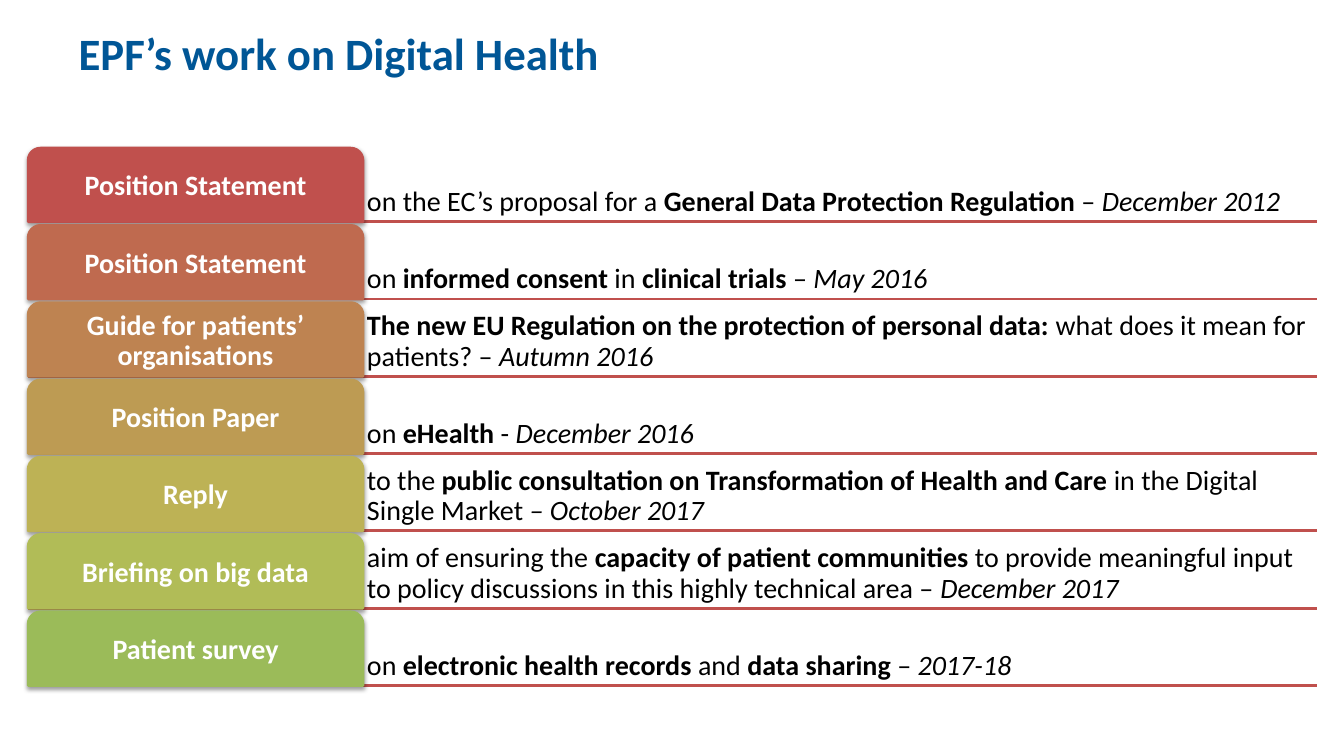
from dataclasses import dataclass

from lxml.etree import SubElement
from pptx import Presentation
from pptx.dml.color import RGBColor
from pptx.enum.shapes import MSO_CONNECTOR, MSO_SHAPE
from pptx.enum.text import MSO_ANCHOR, PP_ALIGN
from pptx.oxml.ns import qn
from pptx.slide import Slide
from pptx.text.text import TextFrame
from pptx.util import Inches, Pt

FONT = "Calibri"
BLUE = RGBColor(0x00, 0x56, 0x96)
RED = RGBColor(0xC0, 0x50, 0x4D)
BLACK = RGBColor(0x00, 0x00, 0x00)
WHITE = RGBColor(0xFF, 0xFF, 0xFF)

LEFT, RIGHT = 0.28, 13.06
LABEL_WIDTH = 3.32
DETAIL_LEFT = LEFT + LABEL_WIDTH
FIRST_TOP, LAST_TOP = 1.47, 6.07
ROW_HEIGHT = 0.73
INSET = 0.04


@dataclass(frozen=True)
class Span:
    text: str
    bold: bool = False
    italic: bool = False


@dataclass(frozen=True)
class Work:
    label: str
    color: RGBColor
    details: tuple[Span, ...]


def bold(text: str) -> Span:
    return Span(text, bold=True)


def italic(text: str) -> Span:
    return Span(text, italic=True)


WORKS = [
    Work("Position Statement", RED, (
        Span("on the EC’s proposal for a "), bold("General Data Protection Regulation "),
        Span("– "), italic("December 2012"))),
    Work("Position Statement", RGBColor(0xBF, 0x6A, 0x4F), (
        Span("on "), bold("informed consent "), Span("in "), bold("clinical trials "),
        Span("– "), italic("May 2016"))),
    Work("Guide for patients’ organisations", RGBColor(0xBE, 0x83, 0x51), (
        bold("The new EU Regulation on the protection of personal data: "),
        Span("what does it mean for patients? – "), italic("Autumn 2016"))),
    Work("Position Paper", RGBColor(0xBD, 0x9B, 0x53), (
        Span("on "), bold("eHealth"), Span(" - "), italic("December 2016"))),
    Work("Reply", RGBColor(0xBD, 0xB2, 0x55), (
        Span("to the "), bold("public consultation on Transformation of Health and Care "),
        Span("in the Digital Single Market"), italic(" – October 2017"))),
    Work("Briefing on big data", RGBColor(0xB1, 0xBC, 0x57), (
        Span("aim of ensuring the "), bold("capacity of patient communities "),
        Span("to provide meaningful input to policy discussions in this highly technical area – "),
        italic("December 2017"))),
    Work("Patient survey", RGBColor(0x9B, 0xBB, 0x59), (
        Span("on "), bold("electronic health records "), Span("and "), bold("data sharing "),
        Span("– "), italic("2017-18"))),
]


def write(frame: TextFrame, spans: tuple[Span, ...], size: int, color: RGBColor,
          align: PP_ALIGN, anchor: MSO_ANCHOR) -> None:
    frame.word_wrap = True
    frame.vertical_anchor = anchor
    para = frame.paragraphs[0]
    para.alignment = align
    para.line_spacing = 0.9
    for span in spans:
        run = para.add_run()
        run.text = span.text
        run.font.name = FONT
        run.font.size = Pt(size)
        run.font.color.rgb = color
        run.font.bold = span.bold
        run.font.italic = span.italic


def set_insets(frame: TextFrame) -> None:
    frame.margin_left = frame.margin_right = Inches(INSET)
    frame.margin_top = frame.margin_bottom = Inches(INSET)


def add_title(slide: Slide) -> None:
    title = slide.shapes.title
    title.left, title.top = Inches(0.68), Inches(0.21)
    title.width, title.height = Inches(10.08), Inches(0.71)
    write(title.text_frame, (bold("EPF’s work on Digital Health"),), 32, BLUE,
          PP_ALIGN.LEFT, MSO_ANCHOR.TOP)
    title.text_frame.paragraphs[0].line_spacing = 1.0


def add_rule(slide: Slide, top: float) -> None:
    rule = slide.shapes.add_connector(
        MSO_CONNECTOR.STRAIGHT, Inches(LEFT), Inches(top), Inches(RIGHT), Inches(top))
    rule.line.color.rgb = RED
    rule.line.width = Pt(2)
    SubElement(rule.element.spPr, qn("a:effectLst"))


def add_label(slide: Slide, work: Work, top: float) -> None:
    label = slide.shapes.add_shape(
        MSO_SHAPE.ROUND_2_SAME_RECTANGLE, Inches(LEFT), Inches(top),
        Inches(LABEL_WIDTH), Inches(ROW_HEIGHT))
    label.fill.solid()
    label.fill.fore_color.rgb = work.color
    label.line.color.rgb = work.color
    label.line.width = Pt(2)
    effects = SubElement(label.element.spPr, qn("a:effectLst"))
    shadow = SubElement(effects, qn("a:outerShdw"), blurRad=str(Pt(3.1)),
                        dist=str(Pt(1.6)), dir="5400000", rotWithShape="0")
    shade = SubElement(shadow, qn("a:srgbClr"), val=str(BLACK))
    SubElement(shade, qn("a:alpha"), val="38000")
    set_insets(label.text_frame)
    write(label.text_frame, (bold(work.label),), 20, WHITE,
          PP_ALIGN.CENTER, MSO_ANCHOR.MIDDLE)


def add_details(slide: Slide, work: Work, top: float) -> None:
    box = slide.shapes.add_textbox(
        Inches(DETAIL_LEFT), Inches(top), Inches(RIGHT - DETAIL_LEFT), Inches(ROW_HEIGHT))
    set_insets(box.text_frame)
    write(box.text_frame, work.details, 20, BLACK, PP_ALIGN.LEFT, MSO_ANCHOR.BOTTOM)


def main() -> None:
    deck = Presentation()
    deck.slide_width, deck.slide_height = Inches(13.33), Inches(7.5)
    slide = deck.slides.add_slide(deck.slide_layouts.get_by_name("Title Only"))
    add_title(slide)
    pitch = (LAST_TOP - FIRST_TOP) / (len(WORKS) - 1)
    tops = [FIRST_TOP + row * pitch for row in range(len(WORKS))]
    for top in tops:
        add_rule(slide, top + ROW_HEIGHT)
    for work, top in zip(WORKS, tops):
        add_details(slide, work, top)
        add_label(slide, work, top)
    deck.save("out.pptx")


if __name__ == "__main__":
    main()
